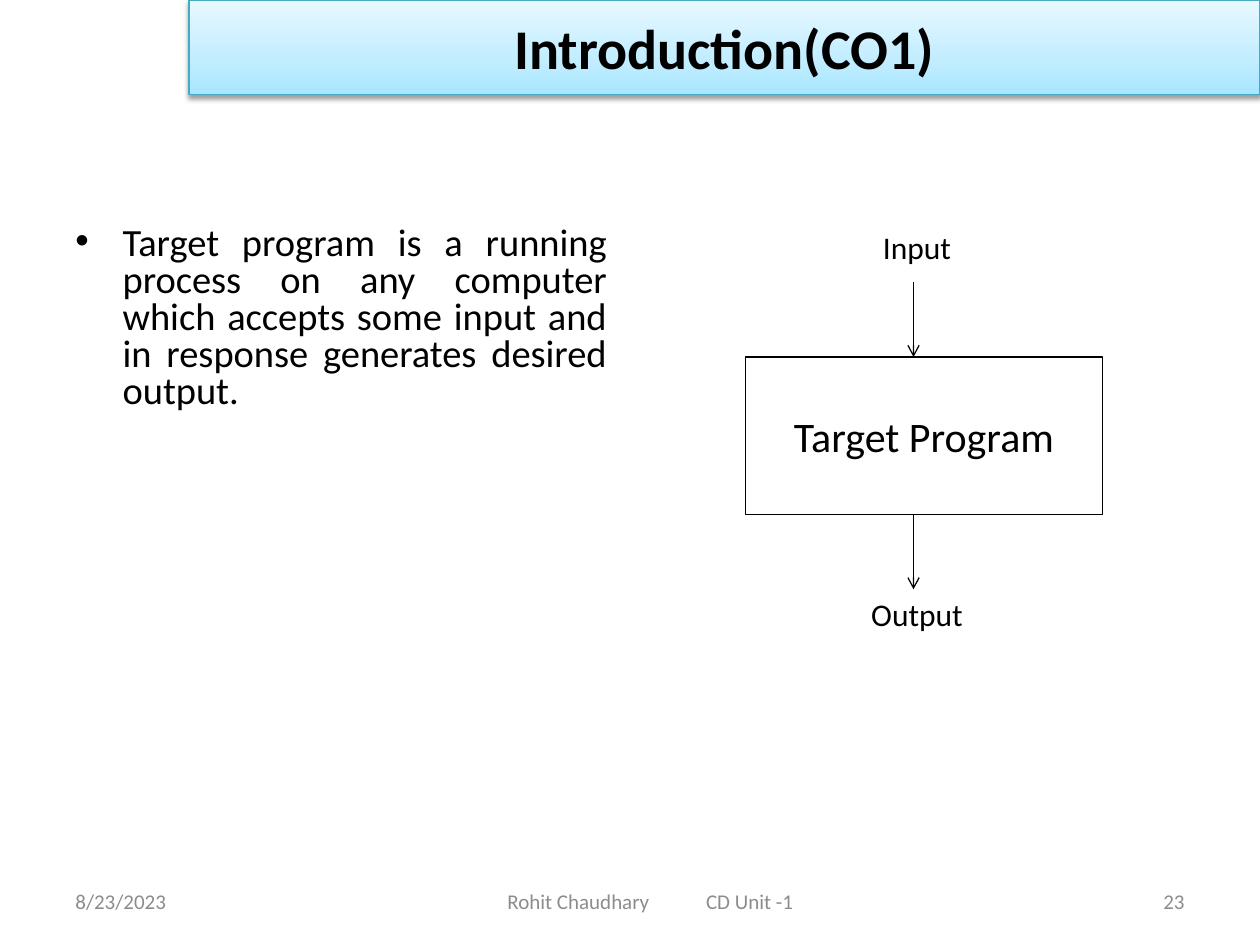
from dataclasses import dataclass

from lxml.etree import SubElement
from pptx import Presentation
from pptx.dml.color import RGBColor
from pptx.enum.shapes import MSO_CONNECTOR, MSO_SHAPE
from pptx.enum.text import MSO_ANCHOR, MSO_AUTO_SIZE, PP_ALIGN
from pptx.oxml import parse_xml
from pptx.oxml.ns import nsdecls, qn
from pptx.util import Pt


@dataclass(frozen=True)
class Theme:
    font: str = "Calibri"
    ink: str = "000000"
    grey: str = "8C8C8C"
    edge: str = "46AAC5"
    band: tuple = ((0, "A7E6FF"), (35, "C1EDFF"), (100, "E7F8FF"))
    head: int = 32
    node: int = 24
    body: int = 22
    label: int = 18
    foot: int = 12
    rule: float = 0.75


@dataclass(frozen=True)
class Box:
    left: float
    top: float
    width: float
    height: float

    def place(self) -> tuple:
        return Pt(self.left), Pt(self.top), Pt(self.width), Pt(self.height)


@dataclass(frozen=True)
class Label:
    text: str
    box: Box
    size: int
    color: str
    align: PP_ALIGN = PP_ALIGN.CENTER
    anchor: MSO_ANCHOR = MSO_ANCHOR.TOP


THEME = Theme()
FOOT_TOP, FOOT_HIGH = 500.4, 28.8
NODE = Box(426, 204, 204, 90)
ARROW_X = 522
ARROWS = ((161.25, NODE.top), (NODE.top + NODE.height, 336.75))

BODY = Label(
    "Target program is a running process on any computer which accepts "
    "some input and in response generates desired output.",
    Box(36, 126, 318, 356.4), THEME.body, THEME.ink, PP_ALIGN.JUSTIFY)
FLOW = [Label(text, Box(414, top, 220, 29), THEME.label, THEME.ink)
        for text, top in (("Input", 126.75), ("Output", 336.25))]
CREDIT = Label("Rohit Chaudhary\tCD Unit -1", Box(246, FOOT_TOP, 252, FOOT_HIGH),
               THEME.foot, THEME.grey, PP_ALIGN.LEFT, MSO_ANCHOR.MIDDLE)
ENDS = [Label(text, Box(left, FOOT_TOP, 168, FOOT_HIGH), THEME.foot,
              THEME.grey, align, MSO_ANCHOR.MIDDLE)
        for text, left, align in (("8/23/2023", 36, PP_ALIGN.LEFT),
                                  ("23", 516, PP_ALIGN.RIGHT))]


def fill_text(shape, label: Label, bold: bool = False) -> None:
    frame = shape.text_frame
    frame.text = label.text
    frame.word_wrap = True
    frame.auto_size = MSO_AUTO_SIZE.NONE
    frame.vertical_anchor = label.anchor
    para = frame.paragraphs[0]
    para.alignment = label.align
    for run in para.runs:
        run.font.name = THEME.font
        run.font.size = Pt(label.size)
        run.font.bold = bold
        run.font.color.rgb = RGBColor.from_string(label.color)


def add_label(slide, label: Label):
    shape = slide.shapes.add_textbox(*label.box.place())
    fill_text(shape, label)
    return shape


def set_line(shape, color: str) -> None:
    shape.line.color.rgb = RGBColor.from_string(color)
    shape.line.width = Pt(THEME.rule)


def add_title(slide) -> None:
    title = slide.shapes.title
    box = Box(108, 0, 612, 54)
    title.left, title.top, title.width, title.height = box.place()
    fill_text(title, Label("Introduction(CO1)", box, THEME.head, THEME.ink,
                           anchor=MSO_ANCHOR.MIDDLE), bold=True)
    stops = "".join(f'<a:gs pos="{pos * 1000}"><a:srgbClr val="{color}"/></a:gs>'
                    for pos, color in THEME.band)
    props = title.element.spPr
    props.append(parse_xml(
        f'<a:gradFill {nsdecls("a")} rotWithShape="1"><a:gsLst>{stops}</a:gsLst>'
        '<a:lin ang="16200000" scaled="1"/></a:gradFill>'))
    set_line(title, THEME.edge)
    props.append(parse_xml(
        f'<a:effectLst {nsdecls("a")}><a:outerShdw blurRad="{Pt(3.1)}" '
        f'dist="{Pt(1.6)}" dir="5400000" rotWithShape="0">'
        f'<a:srgbClr val="{THEME.ink}"><a:alpha val="38000"/></a:srgbClr>'
        '</a:outerShdw></a:effectLst>'))


def add_body(slide) -> None:
    para = add_label(slide, BODY).text_frame.paragraphs[0]
    para.line_spacing = 0.8
    props = para._p.get_or_add_pPr()
    props.set("marL", str(Pt(27)))
    props.set("indent", str(-Pt(27)))
    SubElement(props, qn("a:buFont"), typeface="Arial")
    SubElement(props, qn("a:buChar"), char="•")


def add_credit(slide) -> None:
    """Set the name and the unit apart with a tab stop."""
    frame = add_label(slide, CREDIT).text_frame
    frame.margin_left = Pt(44)
    props = frame.paragraphs[0]._p.get_or_add_pPr()
    tabs = SubElement(props, qn("a:tabLst"))
    SubElement(tabs, qn("a:tab"), pos=str(Pt(113.5)), algn="l")


def add_node(slide) -> None:
    node = slide.shapes.add_shape(MSO_SHAPE.RECTANGLE, *NODE.place())
    node.shadow.inherit = False
    node.fill.background()
    set_line(node, THEME.ink)
    fill_text(node, Label("Target Program", NODE, THEME.node, THEME.ink,
                          anchor=MSO_ANCHOR.MIDDLE))


def add_arrow(slide, start: float, end: float) -> None:
    arrow = slide.shapes.add_connector(
        MSO_CONNECTOR.STRAIGHT, Pt(ARROW_X), Pt(start), Pt(ARROW_X), Pt(end))
    set_line(arrow, THEME.ink)
    props = arrow.element.spPr
    SubElement(props.find(qn("a:ln")), qn("a:tailEnd"), type="arrow")
    SubElement(props, qn("a:effectLst"))


def main() -> None:
    deck = Presentation()
    deck.slide_width, deck.slide_height = Pt(720), Pt(540)
    slide = deck.slides.add_slide(deck.slide_layouts[5])
    add_title(slide)
    add_body(slide)
    add_credit(slide)
    add_node(slide)
    for label in FLOW + ENDS:
        add_label(slide, label)
    for start, end in ARROWS:
        add_arrow(slide, start, end)
    deck.save("out.pptx")


if __name__ == "__main__":
    main()
